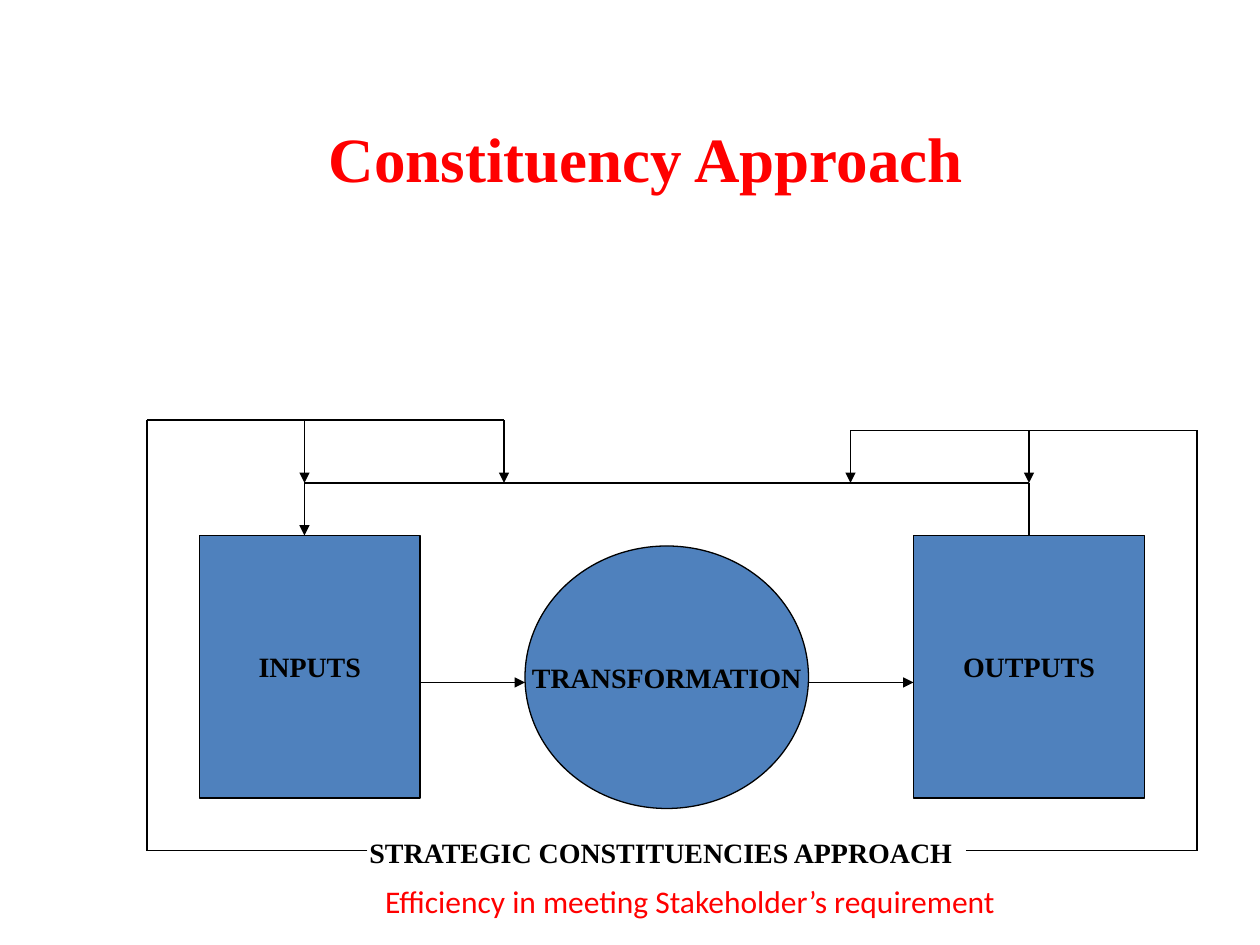
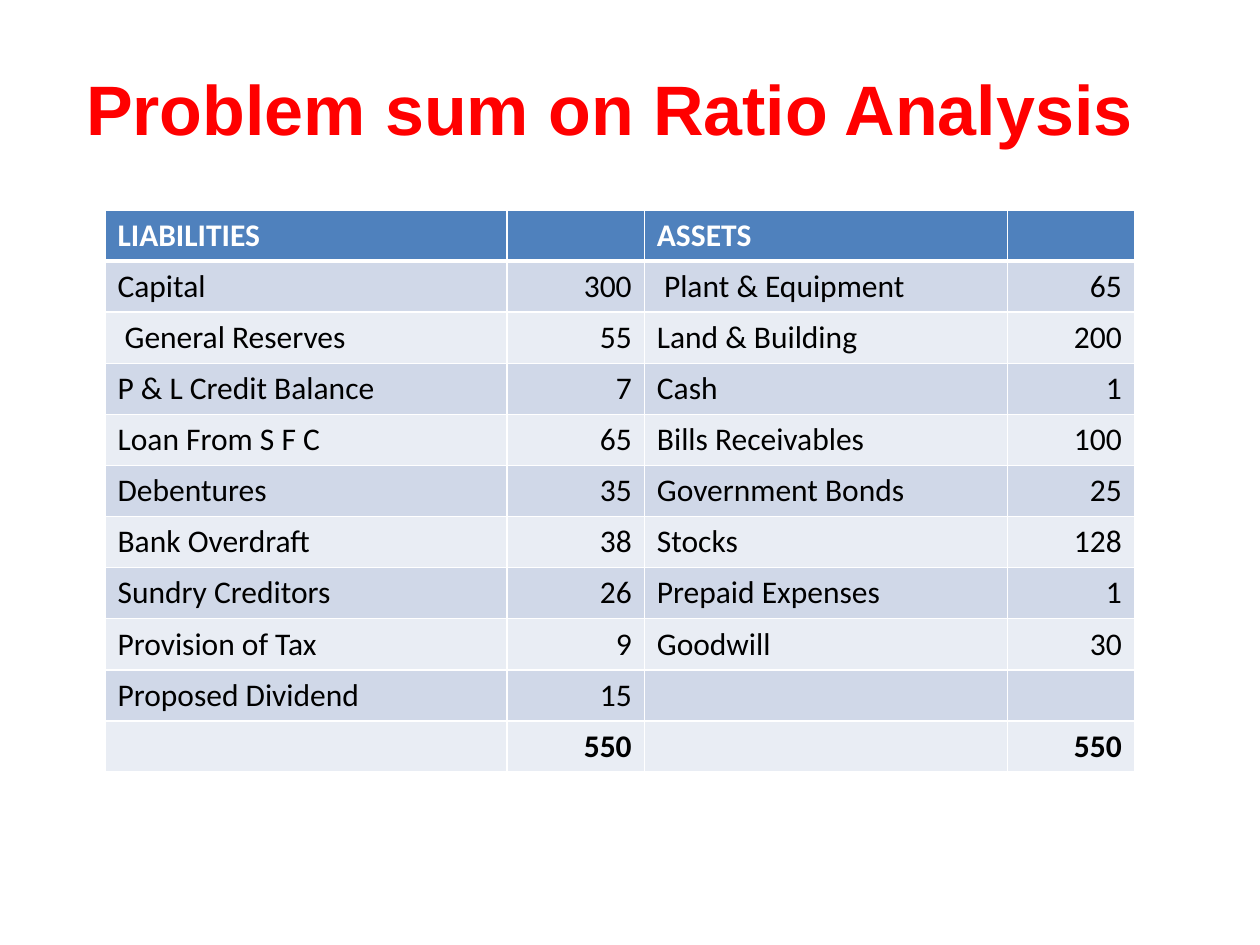
from typing import NamedTuple

from lxml.etree import SubElement
from pptx import Presentation
from pptx.dml.color import RGBColor
from pptx.enum.shapes import MSO_CONNECTOR, MSO_SHAPE
from pptx.enum.text import MSO_ANCHOR, MSO_AUTO_SIZE, PP_ALIGN
from pptx.oxml.ns import qn
from pptx.util import Pt

COLORS = {
    "title": "FF0000",
    "ink": "000000",
    "white": "FFFFFF",
    "blue": "4F81BD",
    "band_dark": "D0D8E8",
    "band_light": "E9EDF4",
}
SERIF, SANS, ARIAL = "Times New Roman", "Calibri", "Arial"


class Box(NamedTuple):
    left: float
    top: float
    width: float
    height: float

    def lengths(self) -> tuple:
        return tuple(Pt(v) for v in self)


class Style(NamedTuple):
    font: str
    size: float
    color: str = "ink"
    bold: bool = False
    align: PP_ALIGN = PP_ALIGN.LEFT


class Stage(NamedTuple):
    label: str
    shape: MSO_SHAPE
    box: Box


class Line(NamedTuple):
    x1: float
    y1: float
    x2: float
    y2: float
    arrow: bool = False


LABEL = Style(SERIF, 16, bold=True)

STAGES = [
    Stage("TRANSFORMATION", MSO_SHAPE.OVAL, Box(300, 312, 162, 150)),
    Stage("INPUTS", MSO_SHAPE.RECTANGLE, Box(114, 306, 126, 150)),
    Stage("OUTPUTS", MSO_SHAPE.RECTANGLE, Box(522, 306, 132, 150)),
]

# Shared coordinates of the flow lines
FLOW_Y, FEEDBACK_Y, BOX_TOP, BOTTOM_Y = 390, 276, 306, 486
LEFT_X, LEFT_TOP, RIGHT_X, RIGHT_TOP = 84, 240, 684, 246
INPUT_X, OUTPUT_X = 174, 588
LEFT_END, RIGHT_END = 288, 486

OUTPUT_RISER = Line(OUTPUT_X, BOX_TOP, OUTPUT_X, FEEDBACK_Y)
LINES = [
    Line(240, FLOW_Y, 300, FLOW_Y, True),
    Line(462, FLOW_Y, 522, FLOW_Y, True),
    Line(OUTPUT_X, FEEDBACK_Y, INPUT_X, FEEDBACK_Y),
    Line(INPUT_X, FEEDBACK_Y, INPUT_X, BOX_TOP, True),
    Line(210, BOTTOM_Y, LEFT_X, BOTTOM_Y),
    Line(552, BOTTOM_Y, RIGHT_X, BOTTOM_Y),
    Line(RIGHT_X, BOTTOM_Y, RIGHT_X, RIGHT_TOP),
    Line(LEFT_X, BOTTOM_Y, LEFT_X, LEFT_TOP),
    Line(LEFT_X, LEFT_TOP, LEFT_END, LEFT_TOP),
    Line(RIGHT_X, RIGHT_TOP, RIGHT_END, RIGHT_TOP),
    *(Line(x, LEFT_TOP, x, FEEDBACK_Y, True) for x in (INPUT_X, LEFT_END)),
    *(Line(x, RIGHT_TOP, x, FEEDBACK_Y, True) for x in (OUTPUT_X, RIGHT_END)),
]

BALANCE_SHEET = [
    ("LIABILITIES", "", "ASSETS", ""),
    ("Capital", "300", " Plant & Equipment", "65"),
    (" General Reserves", "55", "Land & Building", "200"),
    ("P & L Credit Balance", "7", "Cash", "1"),
    ("Loan From S F C", "65", "Bills Receivables", "100"),
    ("Debentures", "35", "Government Bonds", "25"),
    ("Bank Overdraft", "38", "Stocks", "128"),
    ("Sundry Creditors", "26", "Prepaid Expenses", "1"),
    ("Provision of Tax", "9", "Goodwill", "30"),
    ("Proposed Dividend", "15", "", ""),
    ("", "550", "", "550"),
]
COLUMN_WIDTHS = (229.7, 78.5, 207.4, 72.7)
ROW_HEIGHT = 28.8


def rgb(name: str) -> RGBColor:
    return RGBColor.from_string(COLORS[name])


def write(tf, text: str, style: Style) -> None:
    tf.text = text
    p = tf.paragraphs[0]
    p.alignment = style.align
    for r in p.runs:
        r.font.name = style.font
        r.font.size = Pt(style.size)
        r.font.bold = style.bold
        r.font.color.rgb = rgb(style.color)


def add_titled_slide(prs, text: str, box: Box, style: Style, anchor: MSO_ANCHOR):
    s = prs.slides.add_slide(prs.slide_layouts[5])
    title = s.shapes.title
    title.left, title.top, title.width, title.height = box.lengths()
    tf = title.text_frame
    tf.auto_size = MSO_AUTO_SIZE.NONE
    tf.vertical_anchor = anchor
    write(tf, text, style)
    return s


def add_stage(s, stage: Stage):
    sp = s.shapes.add_shape(stage.shape, *stage.box.lengths())
    sp.shadow.inherit = False
    sp.fill.solid()
    sp.fill.fore_color.rgb = rgb("blue")
    sp.line.color.rgb = rgb("ink")
    sp.line.width = Pt(0.75)
    tf = sp.text_frame
    tf.word_wrap = False
    tf.vertical_anchor = MSO_ANCHOR.MIDDLE
    write(tf, stage.label, LABEL._replace(align=PP_ALIGN.CENTER))
    return sp


def add_line(s, line: Line):
    ends = (Pt(v) for v in line[:4])
    cxn = s.shapes.add_connector(MSO_CONNECTOR.STRAIGHT, *ends)
    cxn.line.color.rgb = rgb("ink")
    cxn.line.width = Pt(0.75)
    if line.arrow:
        SubElement(cxn.line._get_or_add_ln(), qn("a:tailEnd"), type="triangle")
    SubElement(cxn._element.spPr, qn("a:effectLst"))
    return cxn


def add_caption(s, text: str, box: Box, style: Style, wrap: bool) -> None:
    tf = s.shapes.add_textbox(*box.lengths()).text_frame
    tf.word_wrap = wrap
    tf.auto_size = MSO_AUTO_SIZE.SHAPE_TO_FIT_TEXT
    write(tf, text, style)


def add_borders(cell, bottom: float) -> None:
    """Draw white cell borders, with the given bottom width in points."""
    tc_pr = cell._tc.get_or_add_tcPr()
    for side, width in (("L", 1), ("R", 1), ("T", 1), ("B", bottom)):
        ln = SubElement(tc_pr, qn(f"a:ln{side}"), w=str(Pt(width)))
        fill = SubElement(ln, qn("a:solidFill"))
        SubElement(fill, qn("a:srgbClr"), val=COLORS["white"])


def add_balance_sheet(s, left: float, top: float) -> None:
    rows = len(BALANCE_SHEET)
    box = Box(left, top, sum(COLUMN_WIDTHS), rows * ROW_HEIGHT)
    frame = s.shapes.add_table(rows, len(COLUMN_WIDTHS), *box.lengths())
    table = frame.table
    table.horz_banding = False
    for column, width in zip(table.columns, COLUMN_WIDTHS):
        column.width = Pt(width)
    for i, row in enumerate(BALANCE_SHEET):
        header, total = i == 0, i == rows - 1
        band = "blue" if header else ("band_light", "band_dark")[i % 2]
        for j, text in enumerate(row):
            cell = table.cell(i, j)
            # The rule under the header is also the top edge of the first row
            add_borders(cell, 3 if header else 1)
            cell.fill.solid()
            cell.fill.fore_color.rgb = rgb(band)
            write(cell.text_frame, text, Style(
                SANS, 18, "white" if header else "ink", header or total,
                PP_ALIGN.RIGHT if j % 2 else PP_ALIGN.LEFT))


def build_constituency(prs) -> None:
    s = add_titled_slide(
        prs, "Constituency Approach", Box(54, 30, 630, 120),
        Style(SERIF, 36, "title", True, PP_ALIGN.CENTER), MSO_ANCHOR.MIDDLE)
    shapes = {stage.label: add_stage(s, stage) for stage in STAGES}
    add_line(s, OUTPUT_RISER).begin_connect(shapes["OUTPUTS"], 0)
    for line in LINES:
        add_line(s, line)
    add_caption(s, "STRATEGIC CONSTITUENCIES APPROACH",
                Box(204, 474, 350, 26.6), LABEL, True)
    add_caption(s, "Efficiency in meeting Stakeholder’s requirement",
                Box(213, 500.4, 368, 29), Style(SANS, 18, "title"), False)


def build_ratio_analysis(prs) -> None:
    s = add_titled_slide(
        prs, "Problem sum on Ratio Analysis", Box(42, 34, 624, 55.4),
        Style(ARIAL, 40, "title", True), MSO_ANCHOR.TOP)
    add_balance_sheet(s, 60, 120)


def main() -> None:
    prs = Presentation()
    prs.slide_width, prs.slide_height = Pt(720), Pt(540)
    build_constituency(prs)
    build_ratio_analysis(prs)
    prs.save("out.pptx")


if __name__ == "__main__":
    main()
